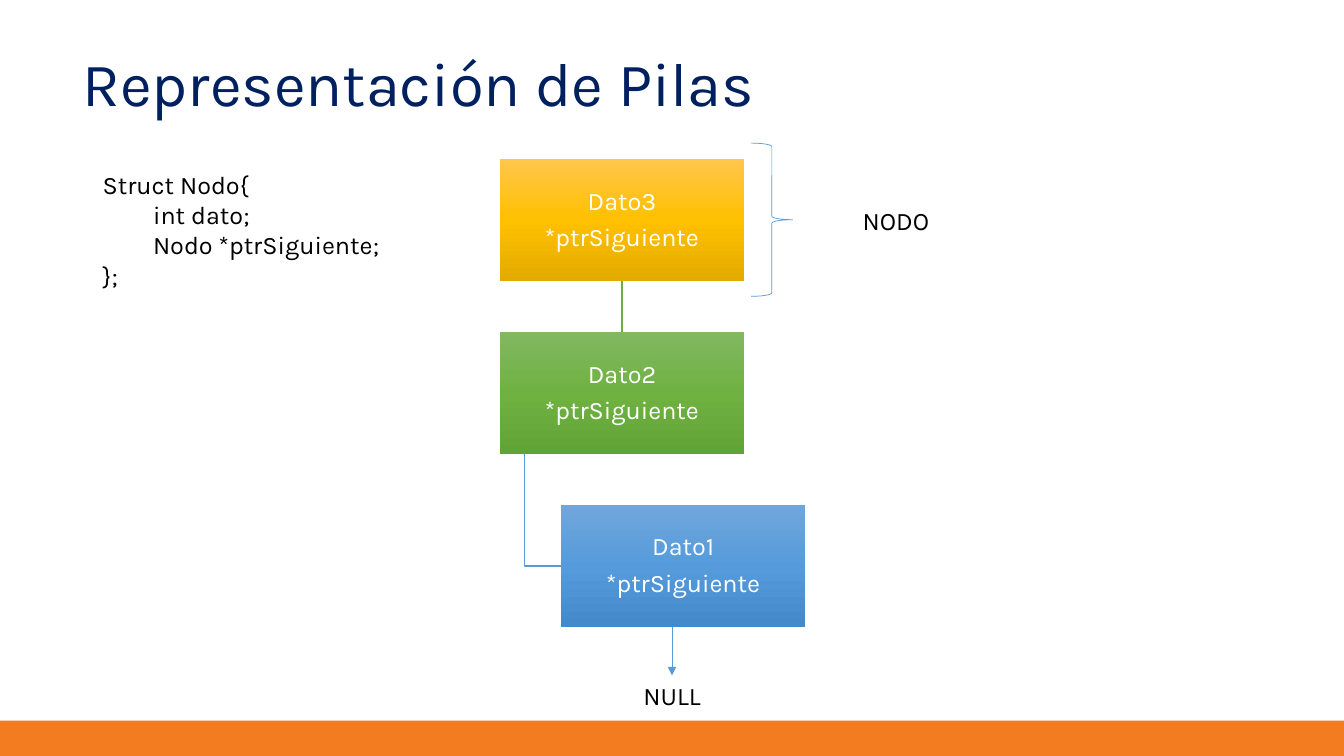
from copy import deepcopy
from dataclasses import dataclass

from pptx import Presentation
from pptx.dml.color import RGBColor
from pptx.enum.shapes import MSO_CONNECTOR as Connector, MSO_SHAPE as Shape
from pptx.enum.text import MSO_ANCHOR as Anchor, MSO_AUTO_SIZE as AutoSize, PP_ALIGN as Align
from pptx.oxml.ns import qn
from pptx.util import Inches, Length, Pt

WIDTH, HEIGHT = Inches(13.33), Inches(7.5)
FONT = "Karla"
WHITE = RGBColor(0xFF, 0xFF, 0xFF)
BLACK = RGBColor(0x00, 0x00, 0x00)
NAVY = RGBColor(0x00, 0x20, 0x60)
ORANGE = RGBColor(0xF4, 0x7C, 0x20)
BLUE = RGBColor(0x5B, 0x9B, 0xD5)
GREEN = RGBColor(0x70, 0xAD, 0x47)
YELLOWS = (RGBColor(0xFF, 0xC6, 0x4B), RGBColor(0xFF, 0xC0, 0x00), RGBColor(0xE3, 0xAB, 0x00))
GREENS = (RGBColor(0x81, 0xB8, 0x61), RGBColor(0x6F, 0xB2, 0x42), RGBColor(0x62, 0xA3, 0x36))
BLUES = (RGBColor(0x71, 0xA6, 0xDB), RGBColor(0x55, 0x9B, 0xDB), RGBColor(0x44, 0x8A, 0xCA))

NODE_W, NODE_H = 18.16, 16.13
NODE_TOP, NODE_STEP = 21.07, 22.87
NODE_LEFT, NODE_INDENT = 37.2, 4.55


@dataclass(frozen=True)
class Area:
    left: float
    top: float
    width: float
    height: float

    def emu(self) -> tuple[Length, Length, Length, Length]:
        return x(self.left), y(self.top), x(self.width), y(self.height)


@dataclass(frozen=True)
class Node:
    name: str
    row: int
    indent: int
    colors: tuple[RGBColor, RGBColor, RGBColor]

    @property
    def area(self) -> Area:
        return Area(NODE_LEFT + self.indent * NODE_INDENT,
                    NODE_TOP + self.row * NODE_STEP, NODE_W, NODE_H)


@dataclass(frozen=True)
class Label:
    text: str
    area: Area
    align: Align


NODES = (
    Node("Dato3", 0, 0, YELLOWS),
    Node("Dato2", 1, 0, GREENS),
    Node("Dato1", 2, 1, BLUES),
)
LABELS = (
    Label("NULL", Area(45.84, 89.33, 8.33, 5.33), Align.CENTER),
    Label("NODO", Area(62.79, 26.53, 7.73, 5.33), Align.CENTER),
    Label("Struct Nodo{\n\tint dato;\n\tNodo *ptrSiguiente;\n};",
          Area(6.9, 21.73, 26.48, 17.47), Align.LEFT),
)


def x(percent: float) -> Length:
    return Length(round(WIDTH * percent / 100))


def y(percent: float) -> Length:
    return Length(round(HEIGHT * percent / 100))


def write(tf, text: str, size: int, color: RGBColor, align: Align,
          line_spacing: float = 1.0, space_after: float = 0) -> None:
    tf.text = text
    tf.word_wrap = True
    for p in tf.paragraphs:
        p.alignment = align
        p.line_spacing = line_spacing
        p.space_before = Pt(0)
        p.space_after = Pt(space_after)
        for r in p.runs:
            r.font.name = FONT
            r.font.size = Pt(size)
            r.font.color.rgb = color


def add_title(s, text: str, area: Area) -> None:
    sp = s.shapes.title
    sp.left, sp.top, sp.width, sp.height = area.emu()
    tf = sp.text_frame
    tf.auto_size = AutoSize.NONE
    tf.vertical_anchor = Anchor.MIDDLE
    write(tf, text, 44, NAVY, Align.LEFT, 0.9)


def add_bar(s, area: Area) -> None:
    sp = s.shapes.add_shape(Shape.RECTANGLE, *area.emu())
    sp.shadow.inherit = False
    sp.fill.solid()
    sp.fill.fore_color.rgb = ORANGE
    sp.line.fill.background()


def add_node(s, node: Node) -> None:
    sp = s.shapes.add_shape(Shape.RECTANGLE, *node.area.emu())
    sp.shadow.inherit = False
    sp.line.fill.background()
    sp.fill.gradient()
    sp.fill.gradient_angle = 270
    stops = sp._element.spPr.find(qn("a:gradFill")).find(qn("a:gsLst"))
    stops.insert(1, deepcopy(stops[0]))
    for stop, position, color in zip(sp.fill.gradient_stops, (0, 0.5, 1), node.colors):
        stop.position = position
        stop.color.rgb = color
    tf = sp.text_frame
    tf.margin_left = tf.margin_right = tf.margin_top = tf.margin_bottom = Inches(0.01)
    tf.vertical_anchor = Anchor.MIDDLE
    write(tf, f"{node.name}\n*ptrSiguiente", 18, WHITE, Align.CENTER, 0.9, 6.8)


def add_label(s, label: Label) -> None:
    sp = s.shapes.add_textbox(*label.area.emu())
    write(sp.text_frame, label.text, 18, BLACK, label.align)
    sp.text_frame.auto_size = AutoSize.SHAPE_TO_FIT_TEXT


def add_link(s, column: float, top: float, bottom: float, color: RGBColor,
             weight: float, arrow: bool = False) -> None:
    link = s.shapes.add_connector(Connector.STRAIGHT, x(column), y(top), x(column), y(bottom))
    link.line.color.rgb = color
    link.line.width = Pt(weight)
    if arrow:
        tail = link.line._get_or_add_ln().makeelement(qn("a:tailEnd"), {"type": "triangle"})
        link.line._get_or_add_ln().append(tail)
    spPr = link._element.spPr
    spPr.append(spPr.makeelement(qn("a:effectLst"), {}))


def add_elbow(s, upper: Area, lower: Area) -> None:
    column = upper.left + upper.width / 10
    middle = lower.top + lower.height / 2
    builder = s.shapes.build_freeform(x(column), y(upper.top + upper.height))
    builder.add_line_segments([(x(column), y(middle)), (x(lower.left), y(middle))], close=False)
    sp = builder.convert_to_shape()
    sp.shadow.inherit = False
    sp.fill.background()
    sp.line.color.rgb = BLUE
    sp.line.width = Pt(1)


def add_brace(s, area: Area) -> None:
    sp = s.shapes.add_shape(Shape.RIGHT_BRACE, *area.emu())
    sp.shadow.inherit = False
    sp.fill.background()
    sp.line.color.rgb = BLUE
    sp.line.width = Pt(0.5)


def main() -> None:
    prs = Presentation()
    prs.slide_width, prs.slide_height = WIDTH, HEIGHT
    s = prs.slides.add_slide(prs.slide_layouts[5])
    add_bar(s, Area(0, 95.33, 100, 4.67))
    add_title(s, "Representación de Pilas", Area(5.4, 1.73, 86.27, 19.33))
    first, second, third = (node.area for node in NODES)
    add_elbow(s, second, third)
    add_link(s, first.left + NODE_W / 2, first.top + NODE_H, second.top, GREEN, 1)
    for node in NODES:
        add_node(s, node)
    add_link(s, 50, third.top + NODE_H, 89.33, BLUE, 0.5, arrow=True)
    add_brace(s, Area(55.89, 18.93, 3.08, 20.27))
    for label in LABELS:
        add_label(s, label)
    prs.save("out.pptx")


if __name__ == "__main__":
    main()
